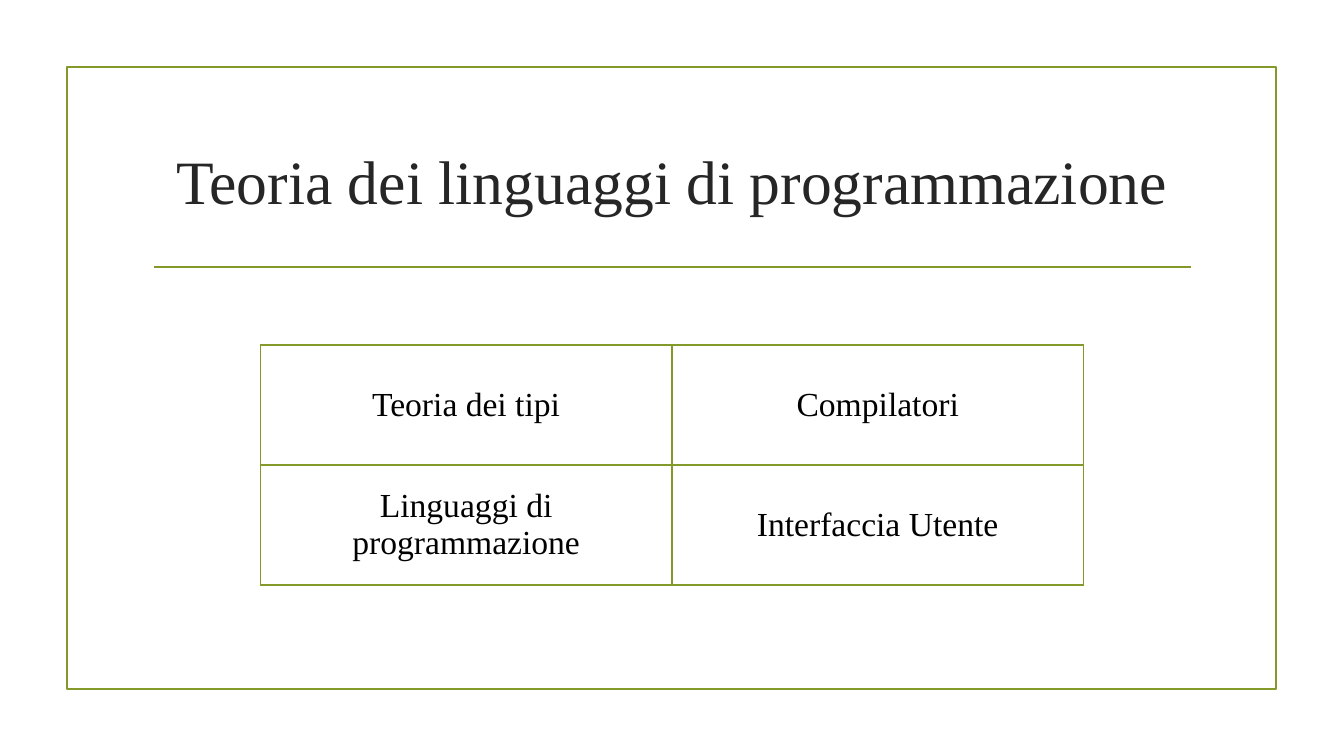
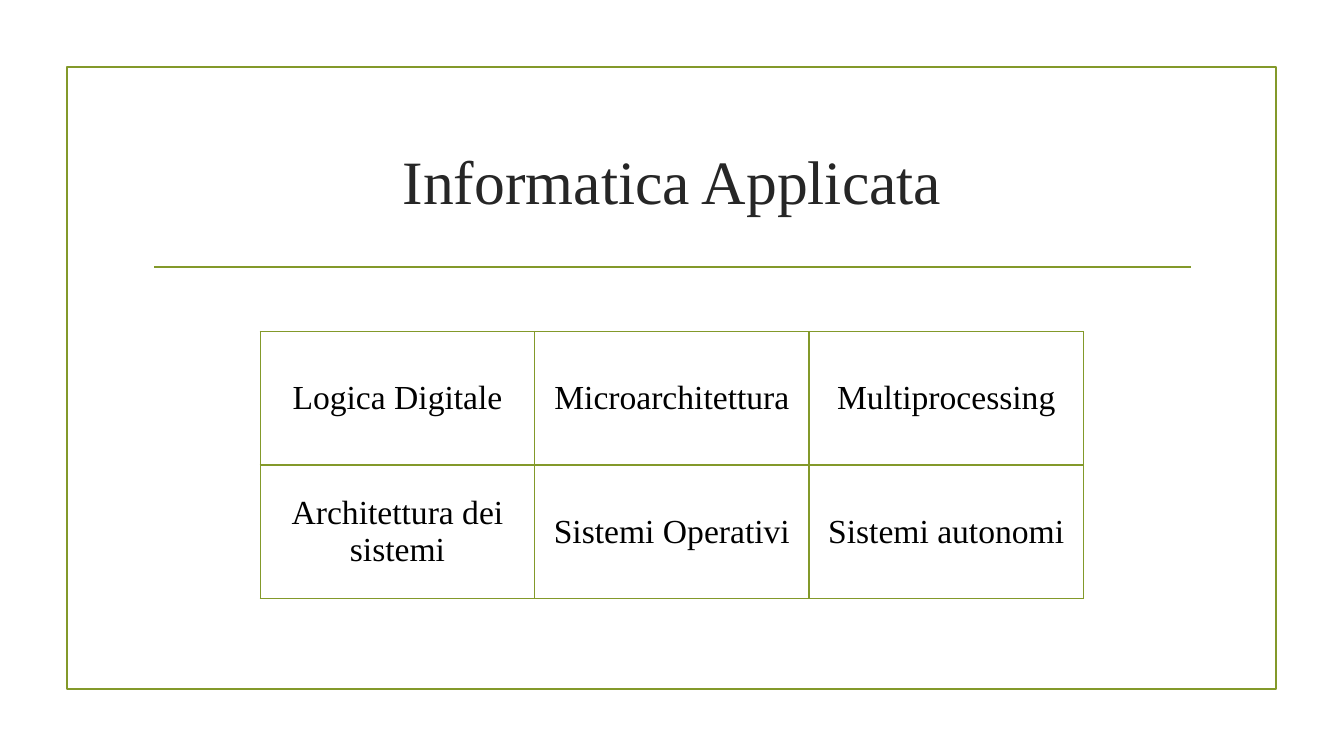
from lxml.etree import SubElement
from pptx import Presentation
from pptx.dml.color import RGBColor
from pptx.enum.shapes import MSO_CONNECTOR, MSO_SHAPE
from pptx.enum.text import MSO_ANCHOR, MSO_AUTO_SIZE, PP_ALIGN
from pptx.oxml.ns import qn
from pptx.util import Inches, Pt

OLIVE = RGBColor(0x83, 0x99, 0x2A)
CHARCOAL = RGBColor(0x26, 0x26, 0x26)
BLACK = RGBColor(0x00, 0x00, 0x00)
FONT = "Times New Roman"
TITLE_ONLY = 5

SUBJECTS = [
    ("Teoria dei linguaggi di programmazione", 15.87,
     [["Teoria dei tipi", "Compilatori"],
      ["Linguaggi di programmazione", "Interfaccia Utente"]]),
    ("Informatica Applicata", 17.67,
     [["Logica Digitale", "Microarchitettura", "Multiprocessing"],
      ["Architettura dei sistemi", "Sistemi Operativi", "Sistemi autonomi"]]),
]


def write_text(text_frame, text, size, color, align=PP_ALIGN.CENTER):
    text_frame.word_wrap = True
    paragraph = text_frame.paragraphs[0]
    paragraph.alignment = align
    run = paragraph.add_run()
    run.text = text
    run.font.name = FONT
    run.font.size = Pt(size)
    run.font.color.rgb = color


class Deck:
    def __init__(self):
        self.presentation = Presentation()
        self.presentation.slide_width = Inches(13.33)
        self.presentation.slide_height = Inches(7.5)
        self.slide = None

    def across(self, percent):
        return round(self.presentation.slide_width * percent / 100)

    def down(self, percent):
        return round(self.presentation.slide_height * percent / 100)

    def box(self, left, top, width, height):
        return self.across(left), self.down(top), self.across(width), self.down(height)

    def add_slide(self, title):
        layout = self.presentation.slide_layouts[TITLE_ONLY]
        self.slide = self.presentation.slides.add_slide(layout)
        self.add_frame()
        self.add_rule()
        self.add_title(title)

    def add_frame(self):
        frame = self.slide.shapes.add_shape(
            MSO_SHAPE.RECTANGLE, *self.box(4.97, 8.9, 90, 82.25))
        frame.shadow.inherit = False
        frame.fill.background()
        frame.line.color.rgb = OLIVE
        frame.line.width = Pt(1.25)

    def add_rule(self):
        height = self.down(35.3)
        rule = self.slide.shapes.add_connector(
            MSO_CONNECTOR.STRAIGHT, self.across(11.47), height, self.across(88.6), height)
        rule.line.color.rgb = OLIVE
        rule.line.width = Pt(1.25)
        SubElement(rule.element.spPr, qn("a:effectLst"))

    def add_title(self, text):
        title = self.slide.shapes.title
        title.left, title.top, title.width, title.height = self.box(10.65, 14.25, 78.75, 19)
        title.text_frame.auto_size = MSO_AUTO_SIZE.NONE
        title.text_frame.vertical_anchor = MSO_ANCHOR.MIDDLE
        write_text(title.text_frame, text, size=44, color=CHARCOAL)

    def add_table(self, rows, row_height, left=19.37, width=61.25, middle=61.5):
        height = row_height * len(rows)
        table = self.slide.shapes.add_table(
            len(rows), len(rows[0]),
            *self.box(left, middle - height / 2, width, height)).table
        table.first_row = False
        table.horz_banding = False
        for row_index, row in enumerate(rows):
            for column_index, text in enumerate(row):
                self.format_cell(table.cell(row_index, column_index), text)

    def format_cell(self, cell, text):
        cell.vertical_anchor = MSO_ANCHOR.MIDDLE
        cell.margin_left = cell.margin_right = Inches(0.1)
        cell.margin_top = cell.margin_bottom = Inches(0.1)
        properties = cell._tc.get_or_add_tcPr()
        for side in ("a:lnL", "a:lnR", "a:lnT", "a:lnB"):
            border = SubElement(properties, qn(side), w=str(Pt(1)))
            fill = SubElement(border, qn("a:solidFill"))
            SubElement(fill, qn("a:srgbClr"), val=str(OLIVE))
        cell.fill.background()
        write_text(cell.text_frame, text, size=24, color=BLACK)


def main():
    deck = Deck()
    for title, row_height, rows in SUBJECTS:
        deck.add_slide(title)
        deck.add_table(rows, row_height)
    deck.presentation.save("out.pptx")


if __name__ == "__main__":
    main()
